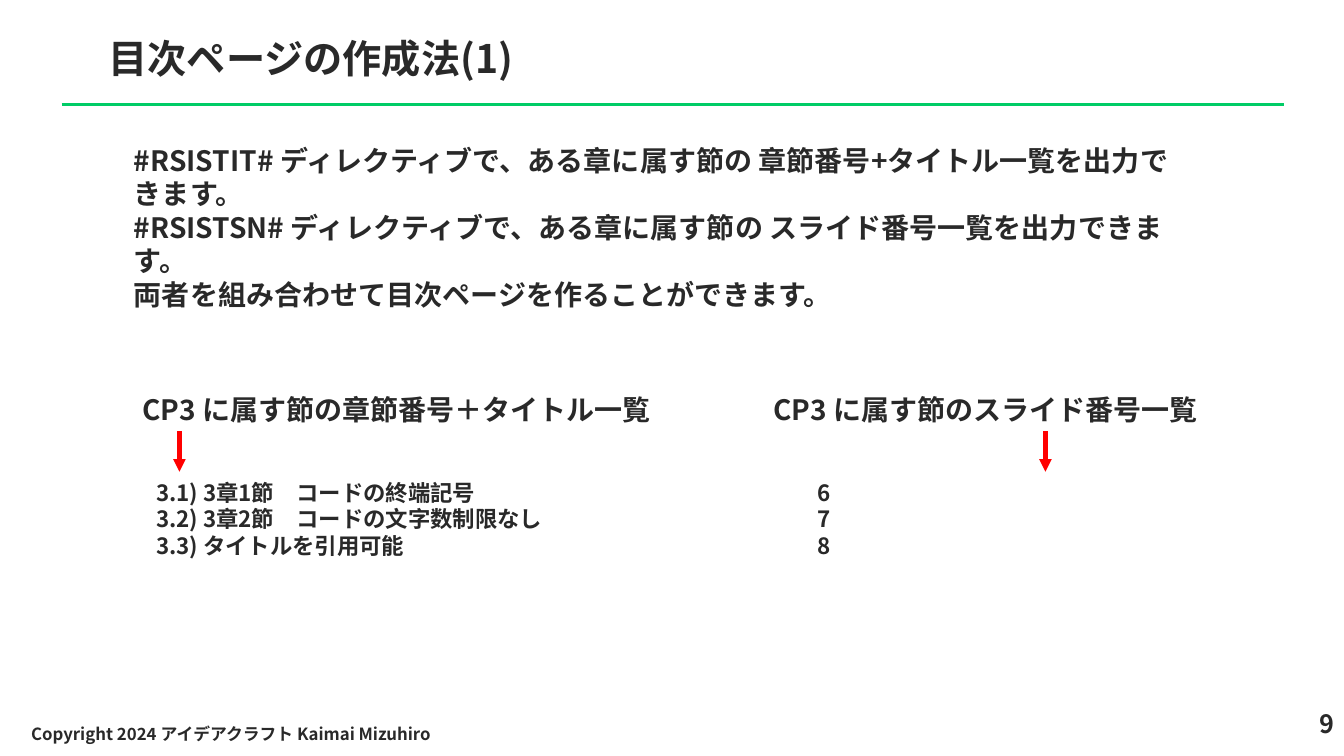
"""Build the slide on making a table of contents page."""
from dataclasses import dataclass

from lxml.etree import SubElement
from pptx import Presentation
from pptx.dml.color import RGBColor as Color
from pptx.enum.shapes import MSO_CONNECTOR as Connector
from pptx.enum.text import MSO_ANCHOR as Anchor, PP_ALIGN as Align
from pptx.oxml.ns import qn
from pptx.slide import Slide
from pptx.util import Inches, Pt

WIDTH, HEIGHT = Inches(13.33), Inches(7.5)
FONT = "Noto Sans CJK JP"
LINE_RATIO = 1.2
COLORS = {"text": "292929", "rule": "00CC66", "arrow": "FF0000"}


@dataclass(frozen=True)
class Label:
    """Text placed by percentages of the slide's width and height."""
    text: str
    left: float
    top: float
    width: float
    height: float
    size: int
    align: Align = Align.LEFT
    anchor: Anchor = Anchor.TOP


@dataclass(frozen=True)
class Section:
    """A heading with an arrow down to its list."""
    heading: str
    heading_left: float
    arrow_x: float
    entries: tuple[str, ...]
    list_left: float
    list_width: float


LABELS = [
    Label("目次ページの作成法(1)", 7.35, 3.87, 89.87, 9.47, 28),
    Label("#RSISTIT# ディレクティブで、ある章に属す節の 章節番号+タイトル一覧を出力できます。\n"
          "#RSISTSN# ディレクティブで、ある章に属す節の スライド番号一覧を出力できます。\n"
          "両者を組み合わせて目次ページを作ることができます。",
          9.23, 18.27, 78.54, 28.27, 20),
    Label("9", 87.85, 93.07, 12.15, 6.67, 18, Align.RIGHT),
    Label("Copyright 2024 アイデアクラフト Kaimai Mizuhiro",
          1.58, 94.4, 45.46, 5.33, 12, anchor=Anchor.MIDDLE),
]

SECTIONS = [
    Section("CP3 に属す節の章節番号＋タイトル一覧", 9.83, 13.35,
            ("3.1) 3章1節　コードの終端記号",
             "3.2) 3章2節　コードの文字数制限なし",
             "3.3) タイトルを引用可能"), 10.88, 54.31),
    Section("CP3 に属す節のスライド番号一覧", 56.79, 77.79,
            ("6", "7", "8"), 60.09, 19.28),
]


def across(share: float) -> int:
    """Turn a percentage of the slide's width into a length."""
    return round(WIDTH * share / 100)


def down(share: float) -> int:
    """Turn a percentage of the slide's height into a length."""
    return round(HEIGHT * share / 100)


def draw_label(page: Slide, label: Label) -> None:
    """Draw one text box in the slide's typeface."""
    box = page.shapes.add_textbox(across(label.left), down(label.top),
                                  across(label.width), down(label.height))
    frame = box.text_frame
    frame.word_wrap = True
    frame.vertical_anchor = label.anchor
    frame.text = label.text
    for para in frame.paragraphs:
        para.alignment = label.align
        para.line_spacing = Pt(label.size * LINE_RATIO)
        for span in para.runs:
            span.font.size = Pt(label.size)
            span.font.bold = True
            span.font.color.rgb = Color.from_string(COLORS["text"])
            span.font.name = FONT
            SubElement(span._r.get_or_add_rPr(), qn("a:ea"), typeface=FONT)


def draw_line(page: Slide, start: tuple[float, float], end: tuple[float, float],
              color: str, weight: float, arrow: bool = False) -> None:
    """Draw a straight line, with an arrowhead at its end if asked."""
    line = page.shapes.add_connector(
        Connector.STRAIGHT, across(start[0]), down(start[1]), across(end[0]), down(end[1]))
    line.line.color.rgb = Color.from_string(COLORS[color])
    line.line.width = Pt(weight)
    if arrow:
        SubElement(line.line._get_or_add_ln(), qn("a:tailEnd"), type="triangle")
    SubElement(line._element.spPr, qn("a:effectLst"))


def draw_section(page: Slide, section: Section) -> None:
    """Draw a heading, its arrow and its list."""
    draw_label(page, Label(section.heading, section.heading_left, 51.33, 40.14, 5.87, 20))
    draw_label(page, Label("\v".join(section.entries), section.list_left, 62.67,
                           section.list_width, 12, 16))
    draw_line(page, (section.arrow_x, 57.07), (section.arrow_x, 62.4), "arrow", 3, arrow=True)


def main() -> None:
    """Create the deck and save it."""
    deck = Presentation()
    deck.slide_width, deck.slide_height = WIDTH, HEIGHT
    page = deck.slides.add_slide(deck.slide_layouts[6])
    draw_line(page, (4.58, 13.87), (95.5, 13.87), "rule", 2.25)
    for label in LABELS:
        draw_label(page, label)
    for section in SECTIONS:
        draw_section(page, section)
    deck.save("out.pptx")


if __name__ == "__main__":
    main()
